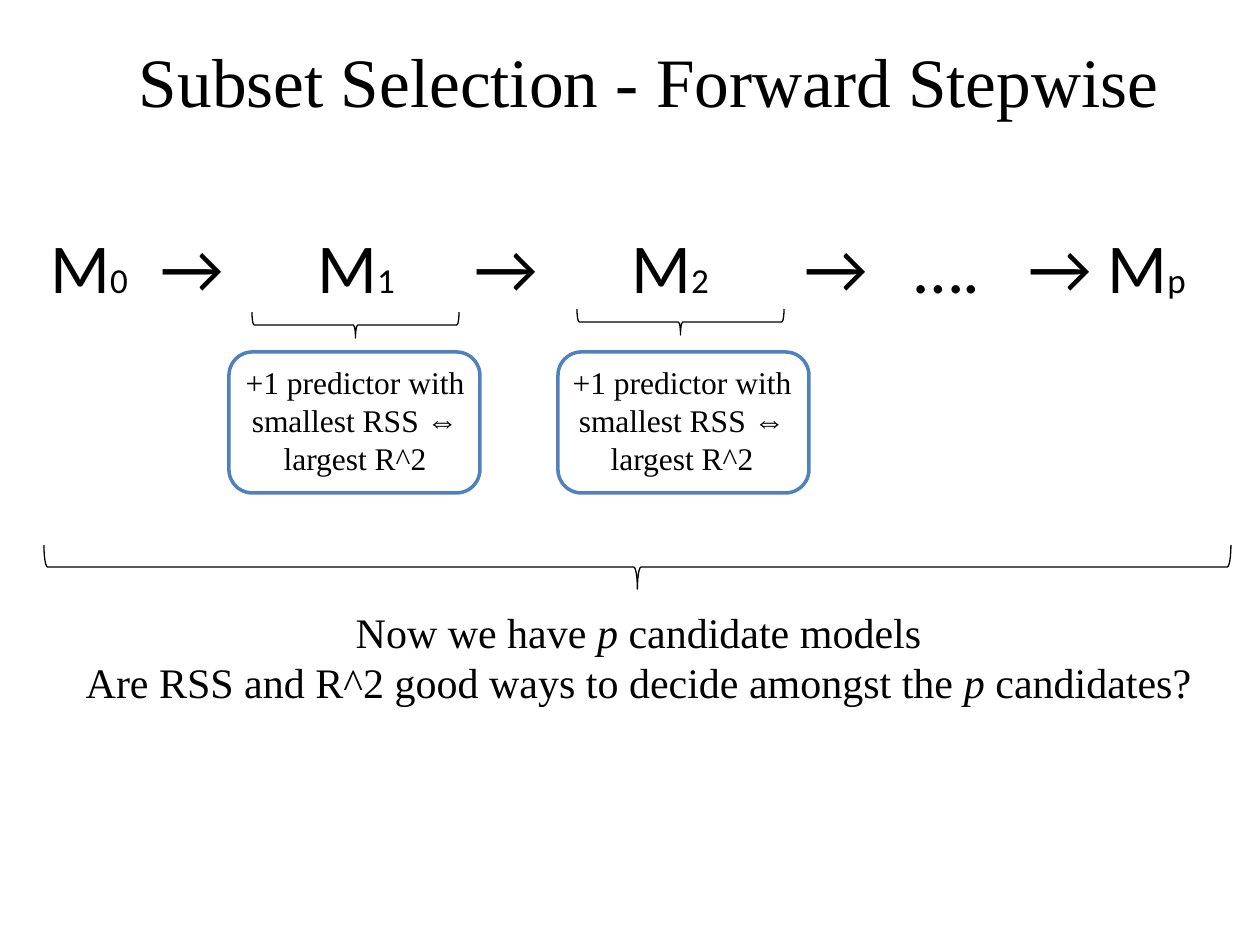
from lxml.etree import SubElement
from pptx import Presentation
from pptx.dml.color import RGBColor
from pptx.enum.shapes import MSO_SHAPE
from pptx.enum.text import MSO_ANCHOR, PP_ALIGN
from pptx.oxml.ns import qn
from pptx.util import Inches, Pt

COLORS = {"text": "000000", "brace": "000000", "step": "4F81BD"}
SERIF = "Times New Roman"
SANS = "Calibri"


def px(length):
    return round(length * 914400 / 126)


def add_run(paragraph, text, size, font_name=SERIF, italic=False):
    run = paragraph.add_run()
    run.text = text
    run.font.size = Pt(size)
    run.font.name = font_name
    run.font.italic = italic
    run.font.color.rgb = RGBColor.from_string(COLORS["text"])


def add_text_box(slide, left, top, width, height):
    shape = slide.shapes.add_textbox(px(left), px(top), px(width), px(height))
    shape.text_frame.word_wrap = True
    return shape.text_frame


def add_centered_lines(slide, bounds, lines, size):
    frame = add_text_box(slide, *bounds)
    for index, line in enumerate(lines):
        paragraph = frame.add_paragraph() if index else frame.paragraphs[0]
        paragraph.alignment = PP_ALIGN.CENTER
        for text, italic in line:
            add_run(paragraph, text, size, italic=italic)


def add_outline(slide, kind, bounds, color, weight):
    shape = slide.shapes.add_shape(kind, *map(px, bounds))
    shape.shadow.inherit = False
    shape.fill.background()
    shape.line.color.rgb = RGBColor.from_string(COLORS[color])
    shape.line.width = Pt(weight)
    return shape


def add_brace(slide, left, top, span, depth):
    shift = (span - depth) / 2
    bounds = (left + shift, top - shift, depth, span)
    brace = add_outline(slide, MSO_SHAPE.LEFT_BRACE, bounds, "brace", 0.75)
    brace.rotation = 270


def add_title(slide, text):
    title = slide.shapes.title
    title.left, title.top, title.width, title.height = map(px, (82, 1, 1134, 158))
    title.text_frame.vertical_anchor = MSO_ANCHOR.MIDDLE
    paragraph = title.text_frame.paragraphs[0]
    paragraph.alignment = PP_ALIGN.CENTER
    add_run(paragraph, text, 39.6)


def add_model_chain(slide):
    items = [
        (47, "M", "0"), (157, "→", ""), (314, "M", "1"), (471, "→", ""),
        (628, "M", "2"), (801, "→", ""), (911, "….", ""), (1025, "→ M", "p"),
    ]
    paragraph = add_text_box(slide, -9, 217, 1260, 97).paragraphs[0]
    tab_list = SubElement(paragraph._p.get_or_add_pPr(), qn("a:tabLst"))
    for position, symbol, index in items:
        SubElement(tab_list, qn("a:tab"), pos=str(px(position)), algn="l")
        add_run(paragraph, "\t" + symbol, 40, SANS)
        if index:
            add_run(paragraph, index, 20, SANS)


def add_step(slide, box_left, text_left, brace_left, brace_top):
    add_brace(slide, brace_left, brace_top, 207, 26)
    add_outline(slide, MSO_SHAPE.ROUNDED_RECTANGLE, (box_left, 352, 251, 141), "step", 2)
    lines = [[("+1 predictor with", False)], [("smallest RSS ⇔ largest R^2", False)]]
    add_centered_lines(slide, (text_left, 357, 268, 127), lines, 18)


def main():
    presentation = Presentation()
    presentation.slide_width = Inches(10)
    presentation.slide_height = Inches(7.5)
    slide = presentation.slides.add_slide(presentation.slide_layouts[5])
    add_title(slide, "Subset Selection - Forward Stepwise")
    add_model_chain(slide)
    add_step(slide, 229, 221, 252, 312)
    add_step(slide, 558, 548, 577, 309)
    add_brace(slide, 44, 545, 1187, 44)
    conclusion = [
        [("Now we have", False), (" p ", True), ("candidate models", False)],
        [("Are RSS and R^2 good ways to decide amongst the ", False),
         ("p", True), (" candidates?", False)],
    ]
    add_centered_lines(slide, (54, 600, 1169, 115), conclusion, 24)
    presentation.save("out.pptx")


if __name__ == "__main__":
    main()
